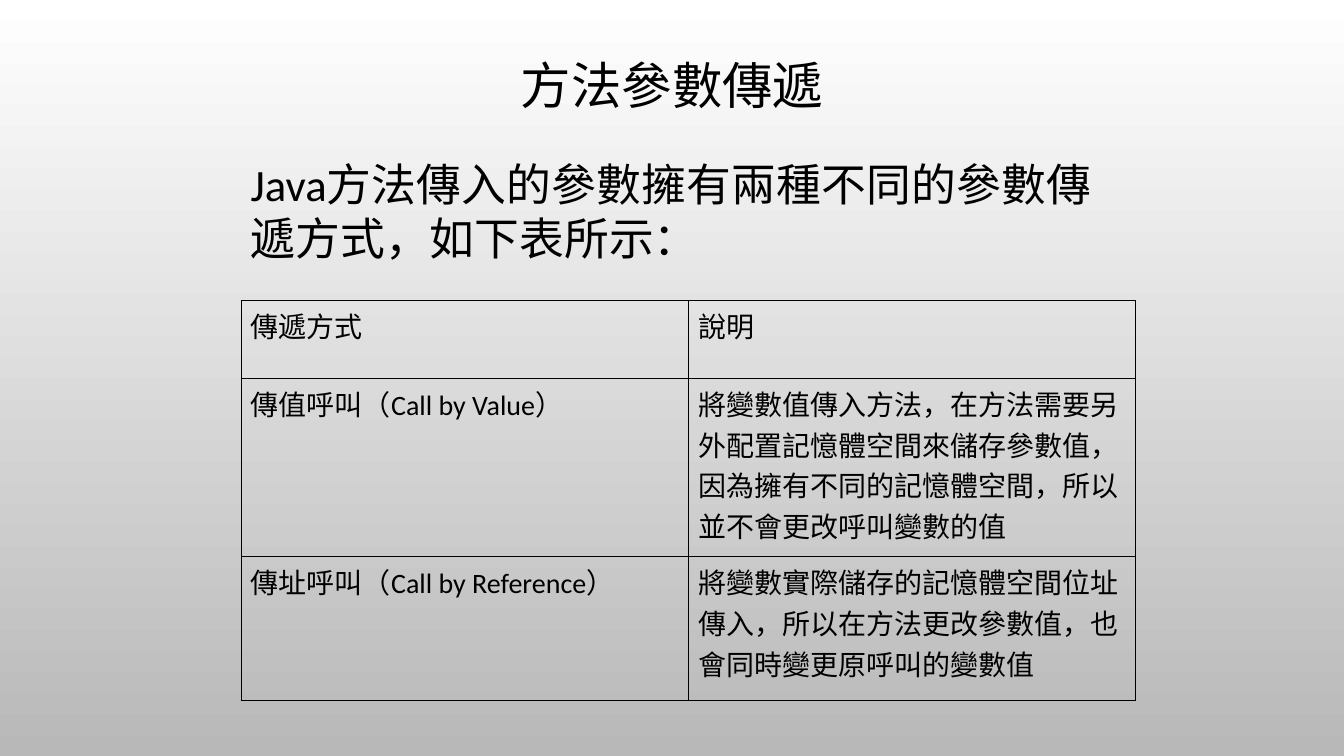
import pptx
import pptx.util
import pptx.dml.color
import pptx.enum.text
import pptx.oxml
import pptx.oxml.ns
from dataclasses import dataclass

TITLE = "方法參數傳遞"
INTRO = "Java方法傳入的參數擁有兩種不同的參數傳遞方式，如下表所示："
ROWS = [
    ("傳遞方式", "說明"),
    ("傳值呼叫（Call by Value）",
     "將變數值傳入方法，在方法需要另外配置記憶體空間來儲存參數值，"
     "因為擁有不同的記憶體空間，所以並不會更改呼叫變數的值"),
    ("傳址呼叫（Call by Reference）",
     "將變數實際儲存的記憶體空間位址傳入，所以在方法更改參數值，"
     "也會同時變更原呼叫的變數值"),
]

WIDTH, HEIGHT = 13.34, 7.5
LEFT = 2.39
TITLE_BOX = (1, 0, WIDTH - 2, 1.74)
INTRO_BOX = (LEFT, 1.51, 8.55, 1.17)
TABLE_TOP, COLUMN_WIDTH = 2.98, 4.44
ROW_HEIGHTS = (0.77, 1.77, 1.43)


@dataclass(frozen=True)
class Theme:
    font: str = "Calibri"
    ink: str = "000000"
    gradient: tuple = ("FFFFFF", "B8B8B8")
    title: float = 36
    intro: float = 32
    cell: float = 20
    border: float = 0.45


theme = Theme()
Inches, Pt = pptx.util.Inches, pptx.util.Pt
rgb = pptx.dml.color.RGBColor.from_string
PP_ALIGN = pptx.enum.text.PP_ALIGN
MSO_ANCHOR = pptx.enum.text.MSO_ANCHOR


def write(tf, text, size, align):
    tf.word_wrap = True
    p = tf.paragraphs[0]
    p.text = text
    p.alignment = align
    p.font.name = theme.font
    p.font.size = Pt(size)
    p.font.color.rgb = rgb(theme.ink)
    return p


def add_borders(cell):
    tc_pr = cell._tc.get_or_add_tcPr()
    for i, side in enumerate(("lnL", "lnR", "lnT", "lnB")):
        tc_pr.insert(i, pptx.oxml.parse_xml(
            f'<a:{side} {pptx.oxml.ns.nsdecls("a")} w="{Pt(theme.border)}">'
            f'<a:solidFill><a:srgbClr val="{theme.ink}"/></a:solidFill></a:{side}>'))


def paint_background(slide):
    fill = slide.background.fill
    fill.gradient()
    fill.gradient_angle = 270
    for stop, position, color in zip(fill.gradient_stops, (0, 1), theme.gradient):
        stop.position = position
        stop.color.rgb = rgb(color)


def add_title(slide):
    sp = slide.shapes.title
    sp.left, sp.top, sp.width, sp.height = map(Inches, TITLE_BOX)
    sp.text_frame.vertical_anchor = MSO_ANCHOR.MIDDLE
    p = write(sp.text_frame, TITLE, theme.title, PP_ALIGN.CENTER)
    p.line_spacing = 0.9


def add_intro(slide):
    sp = slide.shapes.add_textbox(*map(Inches, INTRO_BOX))
    p = write(sp.text_frame, INTRO, theme.intro, PP_ALIGN.JUSTIFY)
    p.space_after = Pt(12)


def add_methods_table(slide):
    columns = len(ROWS[0])
    frame = slide.shapes.add_table(
        len(ROWS), columns, Inches(LEFT), Inches(TABLE_TOP),
        Inches(columns * COLUMN_WIDTH), Inches(sum(ROW_HEIGHTS)))
    table = frame.table
    table.first_row = table.horz_banding = False
    for column in table.columns:
        column.width = Inches(COLUMN_WIDTH)
    for row, height, texts in zip(table.rows, ROW_HEIGHTS, ROWS):
        row.height = Inches(height)
        for cell, text in zip(row.cells, texts):
            cell.fill.background()
            add_borders(cell)
            write(cell.text_frame, text, theme.cell, PP_ALIGN.LEFT)


def main():
    prs = pptx.Presentation()
    prs.slide_width, prs.slide_height = Inches(WIDTH), Inches(HEIGHT)
    slide = prs.slides.add_slide(prs.slide_layouts[5])
    paint_background(slide)
    add_title(slide)
    add_intro(slide)
    add_methods_table(slide)
    prs.save("out.pptx")


if __name__ == "__main__":
    main()
